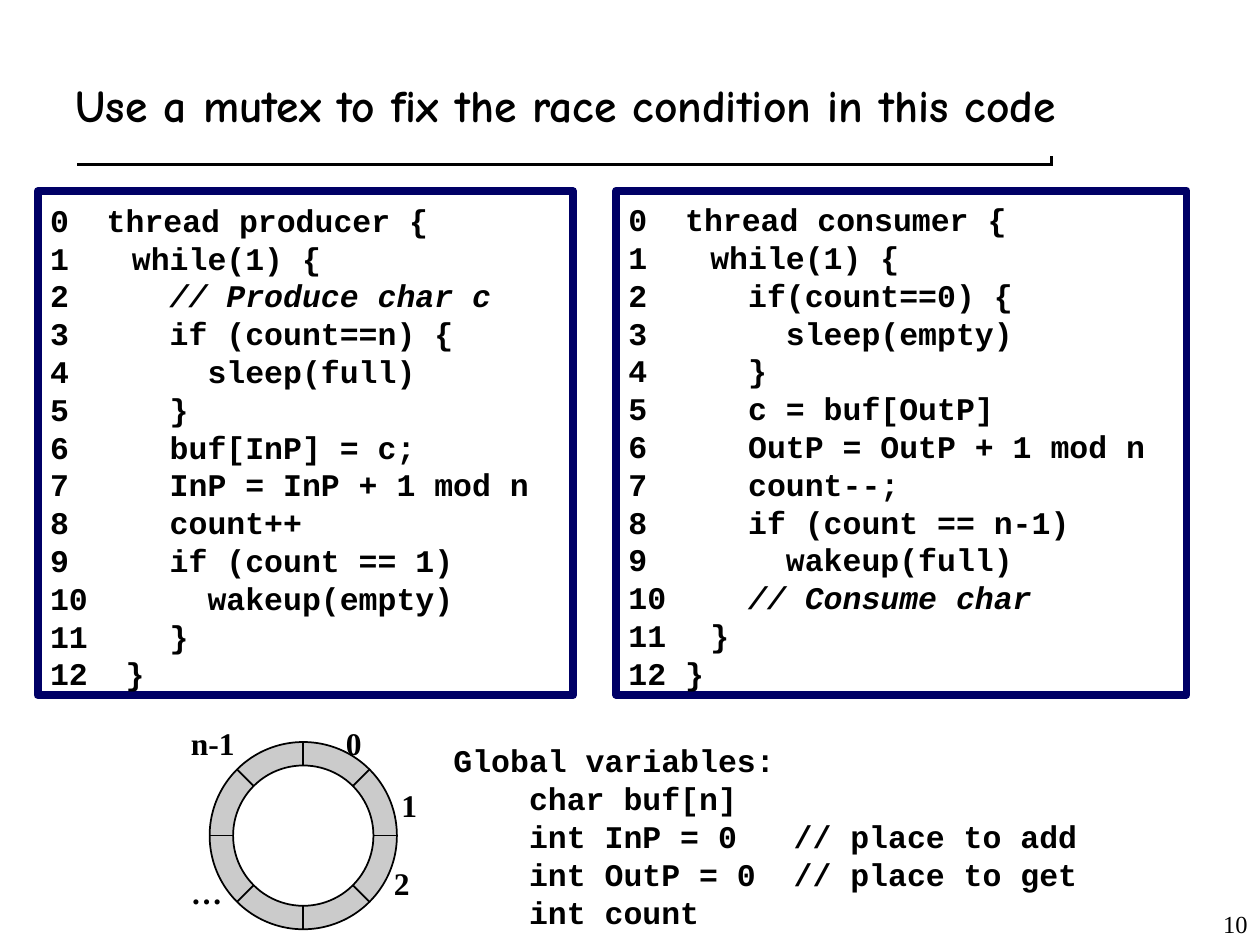
import math

import pptx
import pptx.dml.color
import pptx.enum.shapes
import pptx.enum.text
import pptx.oxml
import pptx.oxml.ns
import pptx.util

Pt = pptx.util.Pt
ANCHOR = pptx.enum.text.MSO_ANCHOR
ALIGN = pptx.enum.text.PP_ALIGN
SHAPES = pptx.enum.shapes.MSO_SHAPE
COLORS = {"ink": "000000", "frame": "000066", "ring": "CBCBCB", "paper": "FFFFFF"}
CODE, SERIF, TITLE = "Courier New", "Times New Roman", "Comic Neue"
PRODUCER = [
    "0  thread producer {", " while(1) {", "   // Produce char c", "   if (count==n) {",
    "     sleep(full)", "   }", "   buf[InP] = c;", "   InP = InP + 1 mod n", "   count++",
    "   if (count == 1)", "     wakeup(empty)", "   }", "12  }",
]
CONSUMER = [
    "0  thread consumer {", " while(1) {", "   if(count==0) {", "     sleep(empty)", "   }",
    "   c = buf[OutP]", "   OutP = OutP + 1 mod n", "   count--;", "   if (count == n-1)",
    "     wakeup(full)", "   // Consume char", " }", "12 }",
]
GLOBALS = [
    "Global variables:", "    char buf[n]", "    int InP = 0   // place to add",
    "    int OutP = 0  // place to get", "    int count",
]
RING_LABELS = [("0", 70.8, 0), ("1", 102.5, 35.3), ("2", 98.2, 79.9),
               ("n-1", -17.8, 0), ("…", -17.8, 85)]


def rgb(name):
    """Return the named colour."""
    return pptx.dml.color.RGBColor.from_string(COLORS[name])


def set_up_frame(shape, anchor=ANCHOR.TOP, top_inset=3.6):
    """Wrap and inset the text of a shape and return its frame."""
    frame = shape.text_frame
    frame.word_wrap = True
    frame.vertical_anchor = anchor
    frame.margin_left = frame.margin_right = Pt(7.2)
    frame.margin_top, frame.margin_bottom = Pt(top_inset), Pt(3.6)
    return frame


def add_run(paragraph, text, font, size=18, bold=True, italic=False):
    """Append one styled run to a paragraph."""
    run = paragraph.add_run()
    run.text = text
    run.font.name, run.font.size = font, Pt(size)
    run.font.bold, run.font.italic = bold, italic
    run.font.color.rgb = rgb("ink")


def add_paragraph(frame, index):
    """Return the paragraph at the end of a frame, with fixed line spacing."""
    paragraph = frame.add_paragraph() if index else frame.paragraphs[0]
    paragraph.alignment = ALIGN.LEFT
    paragraph.line_spacing = Pt(21.6)
    return paragraph


def add_line(slide, start, end, color, width):
    """Draw a straight line without a shadow."""
    line = slide.shapes.add_connector(
        pptx.enum.shapes.MSO_CONNECTOR.STRAIGHT, *(Pt(round(v, 2)) for v in (*start, *end)))
    line.line.color.rgb = rgb(color)
    line.line.width = Pt(width)
    properties = line._element.spPr
    properties.append(properties.makeelement(pptx.oxml.ns.qn("a:effectLst"), {}))


def add_outlined(slide, kind, box, fill, line, width):
    """Draw a preset shape with an outline and an optional fill."""
    shape = slide.shapes.add_shape(kind, *map(Pt, box))
    shape.shadow.inherit = False
    if fill:
        shape.fill.solid()
        shape.fill.fore_color.rgb = rgb(fill)
    else:
        shape.fill.background()
    shape.line.color.rgb = rgb(line)
    shape.line.width = Pt(width)
    return shape


def add_title(slide, left, top, width, height):
    """Place the title and its offset double rule."""
    for shift, color in ((2, "ink"), (0, "paper")):
        x, y = left + 6 + shift, top + 66.2 + shift
        add_line(slide, (x, y), (x + 558, y), color, 6)
    box = slide.shapes.add_textbox(Pt(left), Pt(top), Pt(width), Pt(height))
    paragraph = set_up_frame(box, ANCHOR.MIDDLE).paragraphs[0]
    add_run(paragraph, "Use a mutex to fix the race condition in this code", TITLE, 26)


def add_page_number(slide, left, top, width, height):
    """Place the page number at the bottom right of its box."""
    box = slide.shapes.add_textbox(Pt(left), Pt(top), Pt(width), Pt(height))
    paragraph = set_up_frame(box, ANCHOR.BOTTOM).paragraphs[0]
    paragraph.alignment = ALIGN.RIGHT
    add_run(paragraph, "10", SERIF, 14, bold=False)


def add_code_panel(slide, lines, left, top, width, height):
    """Place a framed listing whose inner lines are numbered automatically."""
    panel = add_outlined(slide, SHAPES.RECTANGLE, (left, top, width, height), None, "frame", 4.5)
    frame = set_up_frame(panel, top_inset=5.4)
    for index, text in enumerate(lines):
        paragraph = add_paragraph(frame, index)
        properties = paragraph._p.get_or_add_pPr()
        properties.set("marL", str(Pt(36)))
        properties.set("indent", str(-Pt(36)))
        if 0 < index < len(lines) - 1:
            pptx.oxml.ns.qn("a:buAutoNum")
            number = properties.makeelement(
                pptx.oxml.ns.qn("a:buAutoNum"), {"type": "arabicPlain"})
            properties.append(number)
        code, slashes, comment = text.partition("//")
        add_run(paragraph, code, CODE)
        if slashes:
            add_run(paragraph, slashes + comment, CODE, italic=True)


def add_ring_buffer(slide, left, top, size):
    """Draw the circular buffer with eight slots and its index labels."""
    radius, band = size / 2, 13.4
    center_x, center_y = left + radius, top + radius
    add_outlined(slide, SHAPES.OVAL, (left, top, size, size), "ring", "ink", 1)
    for step in range(4):
        dx = radius * math.cos(step * math.pi / 4)
        dy = radius * math.sin(step * math.pi / 4)
        add_line(slide, (center_x - dx, center_y - dy), (center_x + dx, center_y + dy), "ink", 1)
    hole = size - 2 * band
    add_outlined(slide, SHAPES.OVAL, (left + band, top + band, hole, hole), "paper", "ink", 1)
    for text, x, y in RING_LABELS:
        width = 58 if len(text) > 1 else 35
        label = slide.shapes.add_textbox(Pt(left + x), Pt(top - 13.7 + y), Pt(width), Pt(28.8))
        add_run(add_paragraph(set_up_frame(label), 0), text, SERIF)


def add_globals(slide, left, top, width, height):
    """Place the list of global variables."""
    box = slide.shapes.add_textbox(Pt(left), Pt(top), Pt(width), Pt(height))
    frame = set_up_frame(box, top_inset=5.4)
    for index, text in enumerate(GLOBALS):
        add_run(add_paragraph(frame, index), text, CODE)


def main():
    """Build the slide and save it."""
    presentation = pptx.Presentation()
    presentation.slide_width, presentation.slide_height = Pt(720), Pt(540)
    slide = presentation.slides.add_slide(presentation.slide_layouts[6])
    add_title(slide, 36, 23.8, 660, 72)
    add_page_number(slide, 570, 504, 150, 36)
    add_code_panel(slide, CONSUMER, 352, 109, 326, 288)
    add_code_panel(slide, PRODUCER, 21.5, 109.3, 306, 288)
    add_ring_buffer(slide, 119.8, 424, 107)
    add_globals(slide, 252, 418.3, 378, 115.2)
    presentation.save("out.pptx")


if __name__ == "__main__":
    main()
